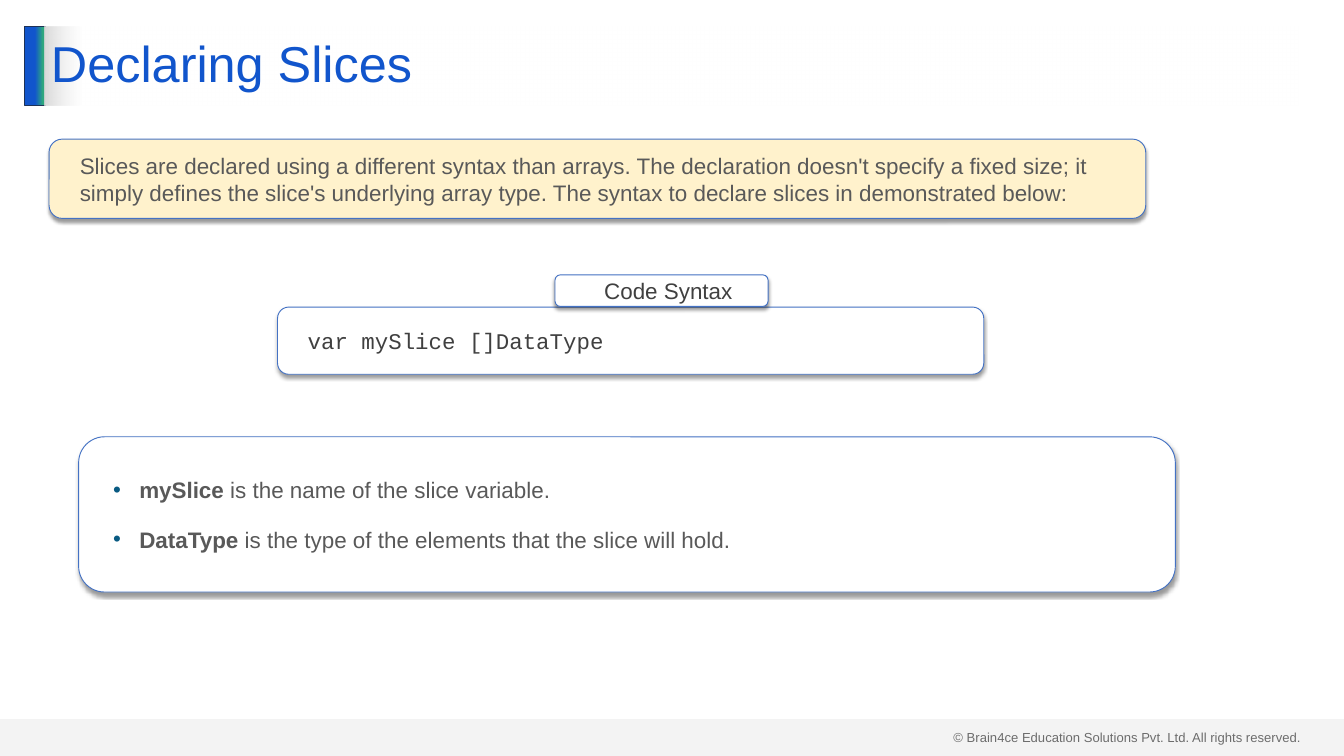
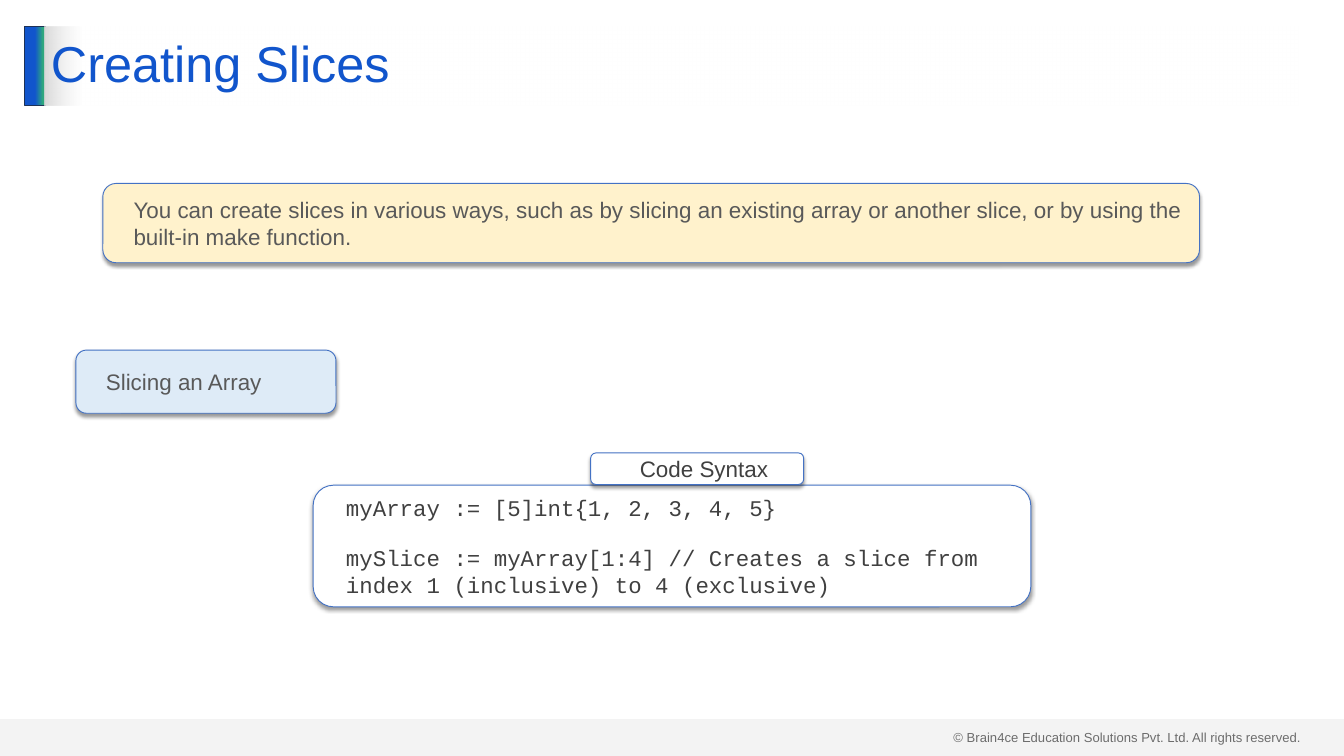
import pptx
import pptx.util
import pptx.dml.color
import pptx.enum.shapes
import pptx.enum.text
import pptx.oxml.ns
import lxml.etree

Inches = pptx.util.Inches
Pt = pptx.util.Pt
SHAPE = pptx.enum.shapes.MSO_SHAPE
ALIGN = pptx.enum.text.PP_ALIGN
MIDDLE = pptx.enum.text.MSO_ANCHOR.MIDDLE

BLUE, GREEN, NAVY = "1155CC", "2EA87D", "1E3256"
EDGE, BULLET = "4472C4", "095A82"
GREY, WHITE, CREAM, SKY = "D9D9D9", "FFFFFF", "FFF2CC", "DEEBF7"
DARK, SOFT = "404040", "595959"
SANS, MONO = "Arial", "Courier New"
WIDE = 16.32
RIGHTS = "© Brain4ce Education Solutions Pvt. Ltd. All rights reserved."


def color(code):
    return pptx.dml.color.RGBColor.from_string(code)


def put(item, values):
    for name, value in values.items():
        setattr(item, name, value)


def node(parent, tag, **attrs):
    child = lxml.etree.SubElement(parent, pptx.oxml.ns.qn(tag))
    for name, value in attrs.items():
        child.set(name, str(value))
    return child


def tint(parent, code, alpha=100):
    clr = node(parent, "a:srgbClr", val=code)
    if alpha < 100:
        node(clr, "a:alpha", val=alpha * 1000)


def shape(slide, kind, place, fill=None, edge=None):
    item = slide.shapes.add_shape(kind, *map(Inches, place))
    item.shadow.inherit = False
    if fill:
        item.fill.solid()
        item.fill.fore_color.rgb = color(fill)
    if edge:
        item.line.color.rgb = color(edge)
        item.line.width = Pt(1)
    else:
        item.line.fill.background()
    return item


def blend(item, stops):
    item.fill.gradient()
    item.fill.gradient_angle = 0
    group = item._element.spPr.find(".//" + pptx.oxml.ns.qn("a:gsLst"))
    for stop in list(group):
        group.remove(stop)
    for pos, code, alpha in stops:
        tint(node(group, "a:gs", pos=pos * 1000), code, alpha)


def shade(item):
    effects = item._element.spPr.find(pptx.oxml.ns.qn("a:effectLst"))
    drop = node(effects, "a:outerShdw", blurRad=Pt(4), dist=Pt(3),
                dir=90 * 60000, algn="t", rotWithShape=0)
    tint(drop, "000000", 40)


def style(font, face, size, code):
    put(font, {"name": face, "size": Pt(size)})
    font.color.rgb = color(code)


def indent(para, left, first):
    props = para._p.get_or_add_pPr()
    props.set("marL", str(Inches(left)))
    props.set("indent", str(Inches(first)))
    return props


def dot(para):
    props = indent(para, 0.59, -0.39)
    tint(node(props, "a:buClr"), BULLET)
    node(props, "a:buFont", typeface=SANS)
    node(props, "a:buChar", char="•")


def card(slide, place, fill, lines, face=SANS, ink=SOFT,
         align=ALIGN.LEFT, dots=False):
    item = shape(slide, SHAPE.ROUNDED_RECTANGLE, place, fill, EDGE)
    shade(item)
    frame = item.text_frame
    put(frame, {"word_wrap": True, "vertical_anchor": MIDDLE,
                "margin_left": Inches(0.2), "margin_right": Inches(0.2),
                "margin_top": Inches(0.1), "margin_bottom": Inches(0.1)})
    for row, line in enumerate(lines):
        para = frame.add_paragraph() if row else frame.paragraphs[0]
        if dots:
            dot(para)
        else:
            indent(para, 0.2, 0)
        put(para, {"level": 1, "alignment": align})
        if row:
            para.space_before = Pt(24)
        parts = line if dots else [line]
        for spot, part in enumerate(parts):
            run = para.add_run()
            run.text = part
            style(run.font, face, 24, ink)
            run.font.bold = dots and spot == 0


def code(slide, left, top, width, height, lines):
    card(slide, (left, top, width, height), WHITE, lines, MONO, DARK)
    card(slide, (left + 4.13, top - 0.48, 3.17, 0.47), WHITE,
         ["Code Syntax"], ink=DARK, align=ALIGN.CENTER)


def intro(slide, left, top, text):
    card(slide, (left, top, WIDE, 1.18), CREAM, [text])


def label(frame, text, size, ink):
    frame.word_wrap = True
    para = frame.paragraphs[0]
    para.alignment = ALIGN.LEFT
    run = para.add_run()
    run.text = text
    style(run.font, SANS, size, ink)
    return para


def base(deck, title):
    slide = deck.slides.add_slide(deck.slide_layouts[6])
    rights = slide.shapes.add_textbox(*map(Inches, (14.09, 10.8, 5.41, 0.34)))
    label(rights.text_frame, RIGHTS, 14, DARK)
    bar = shape(slide, SHAPE.RECTANGLE, (0.37, 0.39, 0.3, 1.18), edge=NAVY)
    blend(bar, [(51, BLUE, 100), (90, GREEN, 100), (100, GREEN, 100)])
    band = shape(slide, SHAPE.RECTANGLE, (0, 10.7, 20, 0.55), GREY)
    clr = band._element.spPr.find(".//" + pptx.oxml.ns.qn("a:srgbClr"))
    node(clr, "a:alpha", val=29000)
    head = shape(slide, SHAPE.RECTANGLE, (0.66, 0.39, 18.67, 1.18))
    blend(head, [(0, GREY, 100), (3, WHITE, 50)])
    head.text_frame.vertical_anchor = MIDDLE
    label(head.text_frame, title, 54, BLUE).line_spacing = 0.9
    return slide


def declare(deck):
    slide = base(deck, "Declaring Slices")
    code(slide, 4.13, 4.57, 10.51, 1, ["var mySlice []DataType"])
    intro(slide, 0.73, 2.07,
          "Slices are declared using a different syntax than arrays. "
          "The declaration doesn't specify a fixed size; it simply defines "
          "the slice's underlying array type. The syntax to declare slices "
          "in demonstrated below:")
    card(slide, (1.17, 6.5, WIDE, 2.31), WHITE,
         [("mySlice", " is the name of the slice variable."),
          ("DataType",
           " is the type of the elements that the slice will hold.")],
         dots=True)


def create(deck):
    slide = base(deck, "Creating Slices")
    code(slide, 4.66, 7.22, 10.68, 1.81,
         ["myArray := [5]int{1, 2, 3, 4, 5}",
          "mySlice := myArray[1:4] // Creates a slice from index 1 "
          "(inclusive) to 4 (exclusive)"])
    intro(slide, 1.53, 2.73,
          "You can create slices in various ways, such as by slicing an "
          "existing array or another slice, or by using the built-in make "
          "function.")
    card(slide, (1.13, 5.21, 3.87, 0.94), SKY, ["Slicing an Array"])


def main():
    deck = pptx.Presentation()
    put(deck, {"slide_width": Inches(20), "slide_height": Inches(11.25)})
    declare(deck)
    create(deck)
    deck.save("out.pptx")


if __name__ == "__main__":
    main()
